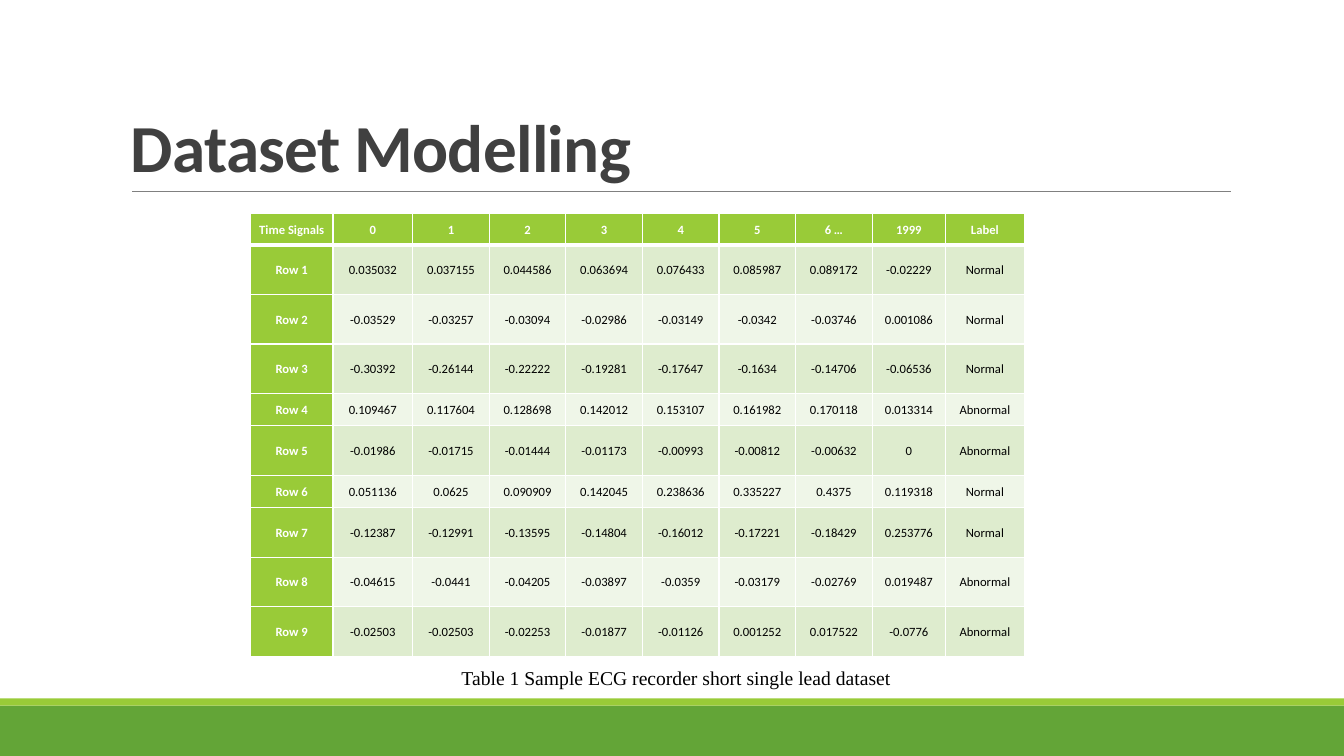
from pptx import Presentation
from pptx.dml.color import RGBColor
from pptx.enum.shapes import MSO_CONNECTOR, MSO_SHAPE
from pptx.enum.text import MSO_ANCHOR, PP_ALIGN
from pptx.oxml.ns import qn
from pptx.util import Cm, Pt
from lxml.etree import SubElement


def color(code):
    return RGBColor.from_string(code)


def write(frame, text, size, face, code, bold=False):
    run = frame.paragraphs[0].add_run()
    run.text = text
    run.font.size = Pt(size)
    run.font.name = face
    run.font.bold = bold
    run.font.color.rgb = color(code)
    return run


deck = Presentation()
deck.slide_width = Cm(33.87)
deck.slide_height = Cm(19.05)
slide = deck.slides.add_slide(deck.slide_layouts[6])
shapes = slide.shapes

for top, height, code in [(17.78, 1.27, "63A537"), (17.6, 0.18, "99CB38")]:
    band = shapes.add_shape(MSO_SHAPE.RECTANGLE, 0, Cm(top), deck.slide_width, Cm(height))
    band.shadow.inherit = False
    band.fill.solid()
    band.fill.fore_color.rgb = color(code)
    band.line.fill.background()

rule = shapes.add_connector(MSO_CONNECTOR.STRAIGHT, Cm(3.33), Cm(4.82), Cm(31.01), Cm(4.82))
rule.line.color.rgb = color("808080")
rule.line.width = Pt(0.5)
SubElement(rule._element.spPr, qn("a:effectLst"))

title = shapes.add_textbox(Cm(3.05), Cm(0.79), Cm(27.94), Cm(4.03)).text_frame
title.word_wrap = True
title.vertical_anchor = MSO_ANCHOR.BOTTOM
title.paragraphs[0].line_spacing = 0.85
head = write(title, "Dataset Modelling", 48, "Calibri", "404040", True)
head.font._element.set("spc", "-50")

data = [
    ["Time Signals", "0", "1", "2", "3", "4", "5", "6 …", "1999", "Label"],
    ["Row 1", "0.035032", "0.037155", "0.044586", "0.063694", "0.076433", "0.085987", "0.089172", "-0.02229", "Normal"],
    ["Row 2", "-0.03529", "-0.03257", "-0.03094", "-0.02986", "-0.03149", "-0.0342", "-0.03746", "0.001086", "Normal"],
    ["Row 3", "-0.30392", "-0.26144", "-0.22222", "-0.19281", "-0.17647", "-0.1634", "-0.14706", "-0.06536", "Normal"],
    ["Row 4", "0.109467", "0.117604", "0.128698", "0.142012", "0.153107", "0.161982", "0.170118", "0.013314", "Abnormal"],
    ["Row 5", "-0.01986", "-0.01715", "-0.01444", "-0.01173", "-0.00993", "-0.00812", "-0.00632", "0", "Abnormal"],
    ["Row 6", "0.051136", "0.0625", "0.090909", "0.142045", "0.238636", "0.335227", "0.4375", "0.119318", "Normal"],
    ["Row 7", "-0.12387", "-0.12991", "-0.13595", "-0.14804", "-0.16012", "-0.17221", "-0.18429", "0.253776", "Normal"],
    ["Row 8", "-0.04615", "-0.0441", "-0.04205", "-0.03897", "-0.0359", "-0.03179", "-0.02769", "0.019487", "Abnormal"],
    ["Row 9", "-0.02503", "-0.02503", "-0.02253", "-0.01877", "-0.01126", "0.001252", "0.017522", "-0.0776", "Abnormal"],
]
widths = [2.08, 2.01] + [1.93] * 6 + [1.85, 1.98]
heights = [0.79, 1.25, 1.25, 1.25, 0.81, 1.25, 0.81, 1.25, 1.25, 1.25]

table = shapes.add_table(len(heights), len(widths), Cm(6.31), Cm(5.38),
                         Cm(sum(widths)), Cm(sum(heights))).table
table.horz_banding = False
for column, width in zip(table.columns, widths):
    column.width = Cm(width)
for row, height in zip(table.rows, heights):
    row.height = Cm(height)

for r, texts in enumerate(data):
    for c, text in enumerate(texts):
        cell = table.cell(r, c)
        label = r == 0 or c == 0
        cell.vertical_anchor = MSO_ANCHOR.MIDDLE
        cell.margin_left = cell.margin_right = Cm(0.15)
        cell.margin_top = cell.margin_bottom = 0
        props = cell._tc.get_or_add_tcPr()
        for side in "LRTB":
            thick = (r, side) in [(0, "B"), (1, "T")]
            edge = SubElement(props, qn(f"a:ln{side}"), w=str(Pt(3 if thick else 1)))
            paint = SubElement(edge, qn("a:solidFill"))
            SubElement(paint, qn("a:srgbClr"), val="FFFFFF")
        cell.fill.solid()
        stripe = "DEECCE" if r % 2 else "EFF6E8"
        cell.fill.fore_color.rgb = color("99CB38" if label else stripe)
        line = cell.text_frame.paragraphs[0]
        line.alignment = PP_ALIGN.CENTER
        line.line_spacing = 1.07
        write(cell.text_frame, text, 9, "Calibri", "FFFFFF" if label else "000000", label)

note = shapes.add_textbox(Cm(11.38), Cm(16.66), Cm(14.05), Cm(0.86)).text_frame
note.word_wrap = True
write(note, "Table 1 Sample ECG recorder short single lead dataset", 14, "Times New Roman", "000000")

deck.save("out.pptx")
